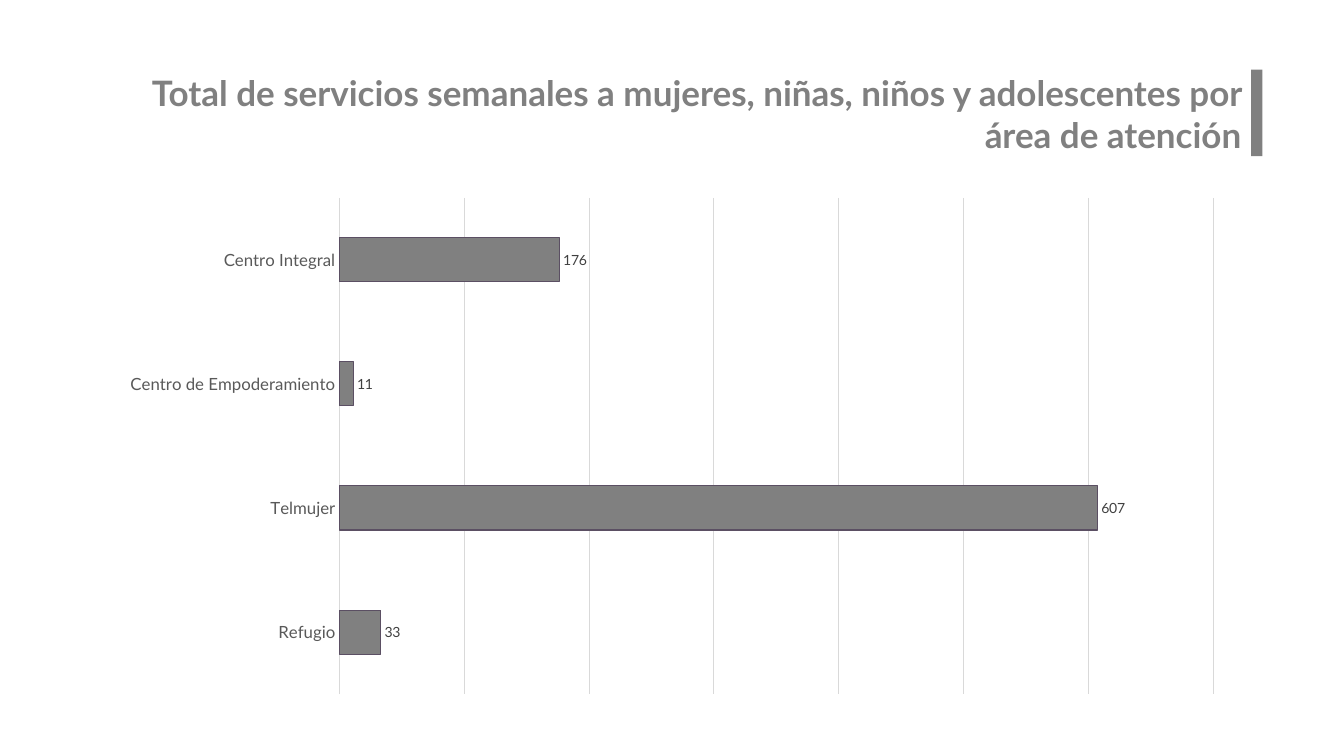
from typing import NamedTuple

from lxml import etree
from pptx import Presentation
from pptx import util as u
from pptx.chart.data import CategoryChartData
from pptx.dml.color import RGBColor
from pptx.enum import chart as charts, shapes, text

PX = 9144  # EMU per px, 100 px to the inch
FONT = "Lato"
GRAY, GRID = "808080", "D9D9D9"
TITLE = ("Total de servicios semanales a mujeres, niñas, niños y "
         "adolescentes por área de atención")
SERVICES = {
    "Centro Integral": 176,
    "Centro de Empoderamiento": 11,
    "Telmujer": 607,
    "Refugio": 33,
}


class Box(NamedTuple):
    left: int
    top: int
    width: int
    height: int

    def emu(self) -> list[int]:
        return [n * PX for n in self]


TITLE_BOX = Box(69, 66, 1172, 94)
ACCENT_BOX = Box(1241, 69, 11, 86)
CHART_BOX = Box(107, 186, 1119, 513)


def rgb(color: str) -> RGBColor:
    return RGBColor.from_string(color)


def style_font(font, size: int, color: str, bold: bool = False) -> None:
    font.name, font.size, font.bold = FONT, u.Pt(size), bold
    font.color.rgb = rgb(color)


def style_line(line, color: str) -> None:
    line.color.rgb = rgb(color)
    line.width = u.Pt(0.75)


def add_accent(slide) -> None:
    sp = slide.shapes.add_shape(shapes.MSO_SHAPE.RECTANGLE, *ACCENT_BOX.emu())
    sp.shadow.inherit = False
    sp.fill.solid()
    sp.fill.fore_color.rgb = rgb(GRAY)
    sp.line.fill.background()


def set_title(slide) -> None:
    sp = slide.shapes.title
    sp.left, sp.top, sp.width, sp.height = TITLE_BOX.emu()
    tf = sp.text_frame
    tf.text = TITLE
    tf.word_wrap = True
    tf.auto_size = text.MSO_AUTO_SIZE.SHAPE_TO_FIT_TEXT
    tf.vertical_anchor = text.MSO_ANCHOR.TOP
    p = tf.paragraphs[0]
    p.alignment = text.PP_ALIGN.RIGHT
    style_font(p.runs[0].font, 25, GRAY, bold=True)


def add_services_chart(slide) -> None:
    data = CategoryChartData()
    data.categories = list(SERVICES)
    data.add_series("Series 1", list(SERVICES.values()))
    chart = slide.shapes.add_chart(
        charts.XL_CHART_TYPE.BAR_CLUSTERED, *CHART_BOX.emu(), data).chart
    style_font(chart.font, 10, "000000")
    chart.has_legend = False
    chart.has_title = False

    # Axes: categories from the top down, hidden values with gridlines
    cat = chart.category_axis
    cat.reverse_order = True
    cat.major_tick_mark = charts.XL_TICK_MARK.NONE
    style_font(cat.tick_labels.font, 12, "595959")
    style_line(cat.format.line, GRID)
    val = chart.value_axis
    val.visible = False
    val.minimum_scale, val.maximum_scale, val.major_unit = 0, 700, 100
    val.has_major_gridlines = True
    style_line(val.major_gridlines.format.line, GRID)

    # Bars and their values
    plot = chart.plots[0]
    plot.gap_width = 182
    plot.vary_by_categories = False
    bars = plot.series[0]
    bars.format.fill.solid()
    bars.format.fill.fore_color.rgb = rgb(GRAY)
    style_line(bars.format.line, "5B4F63")
    labels = bars.data_labels
    labels.show_value = True
    labels.position = charts.XL_LABEL_POSITION.OUTSIDE_END
    style_font(labels.font, 10, "404040")


def main() -> None:
    prs = Presentation()
    prs.slide_width, prs.slide_height = 1333 * PX, 750 * PX
    slide = prs.slides.add_slide(prs.slide_layouts[5])
    add_accent(slide)
    set_title(slide)
    add_services_chart(slide)
    prs.save("out.pptx")


if __name__ == "__main__":
    main()
